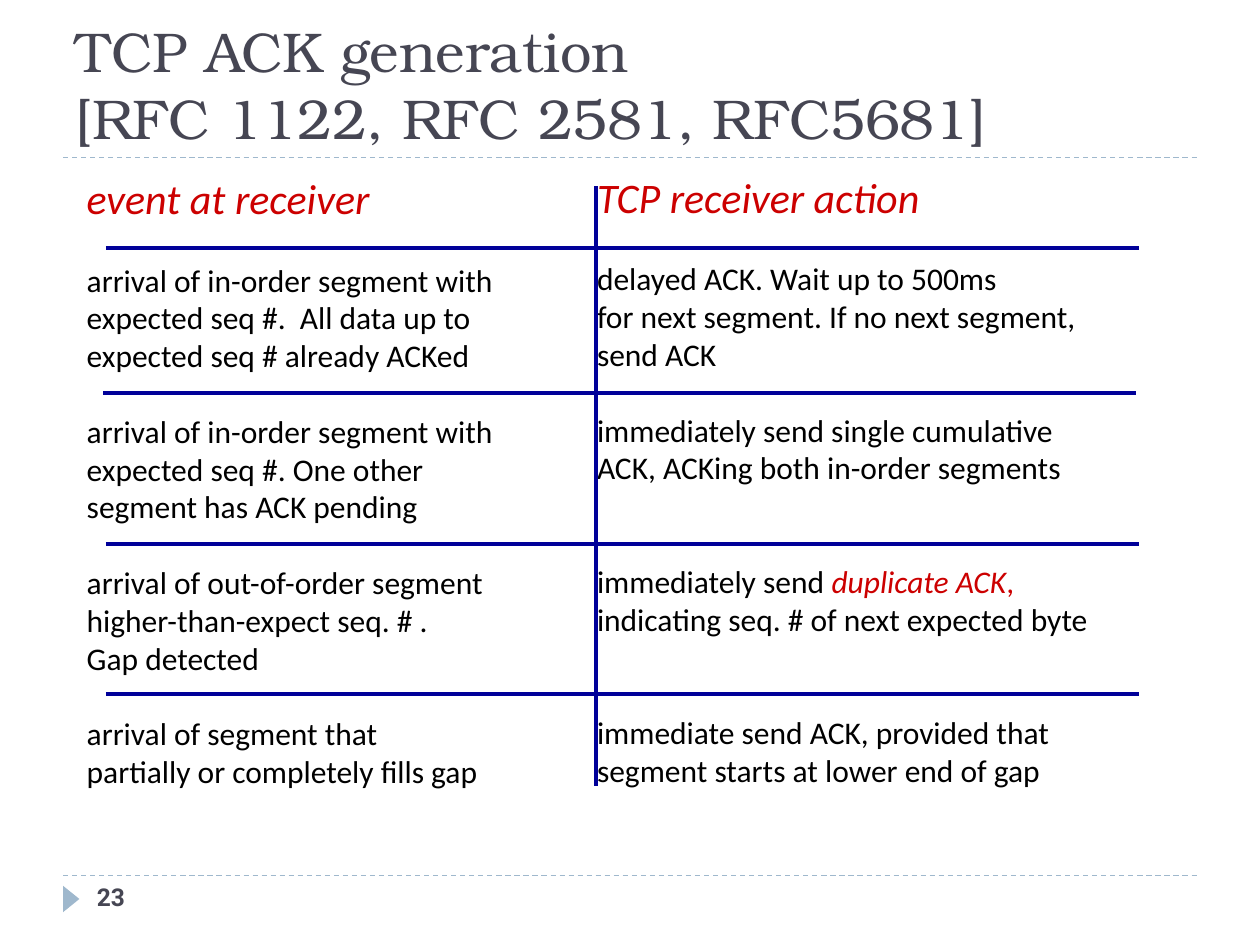
from lxml import etree
from pptx import Presentation
from pptx.dml.color import RGBColor
from pptx.enum import dml, shapes, text
from pptx.oxml.ns import qn
from pptx.util import Inches, Pt

# Content
TITLE = "TCP ACK generation \v[RFC 1122, RFC 2581, RFC5681]"
PAGE_NUMBER = "23"
RED, BLACK, NAVY, SLATE, PALE = "CC0000", "000000", "000099", "464653", "9FB8CD"

# Each column: left, top, width, heading, then one list of lines per row
COLUMNS = [
    (0.59, 1.32, 3.93, "event at receiver", [
        ["arrival of in-order segment with",
         "expected seq #.  All data up to",
         "expected seq # already ACKed"],
        ["arrival of in-order segment with",
         "expected seq #. One other",
         "segment has ACK pending"],
        ["arrival of out-of-order segment",
         "higher-than-expect seq. # .",
         "Gap detected"],
        ["arrival of segment that",
         "partially or completely fills gap"],
    ]),
    (4.64, 1.31, 4.73, "TCP receiver action", [
        ["delayed ACK. Wait up to 500ms",
         "for next segment. If no next segment,",
         "send ACK"],
        ["immediately send single cumulative",
         "ACK, ACKing both in-order segments"],
        [[("immediately send ", BLACK, False), ("duplicate ACK", RED, True), (",", RED, False)],
         "indicating seq. # of next expected byte"],
        ["immediate send ACK, provided that",
         "segment starts at lower end of gap"],
    ]),
]
ROW_RULES = [(0.84, 1.97), (0.82, 3.12), (0.84, 4.32), (0.84, 5.51)]
LINES_PER_ROW = 4
LINE_PITCH = 21.6


def colour(value):
    return RGBColor.from_string(value)


def style(font, name, size, value, italic=False, bold=False):
    font.name, font.size = name, Pt(size)
    font.italic, font.bold = italic, bold
    font.color.rgb = colour(value)


def add_rule(x1, y1, x2, y2, value, width, dashed=False):
    rule = page.shapes.add_connector(
        shapes.MSO_CONNECTOR.STRAIGHT, Inches(x1), Inches(y1), Inches(x2), Inches(y2))
    rule.line.color.rgb = colour(value)
    rule.line.width = Pt(width)
    if dashed:
        rule.line.dash_style = dml.MSO_LINE.DASH
    etree.SubElement(rule._element.spPr, qn("a:effectLst"))


def add_box(left, top, width, height):
    box = page.shapes.add_textbox(Inches(left), Inches(top), Inches(width), Inches(height))
    box.text_frame.word_wrap = True
    return box.text_frame


def add_column(left, top, width, heading, rows):
    frame = add_box(left, top, width, 5.6)
    frame.text = heading
    style(frame.paragraphs[0].runs[0].font, "Calibri", 24, RED, italic=True)
    gap_lines = 1
    for lines in rows:
        for index, line in enumerate(lines):
            para = frame.add_paragraph()
            if index == 0:
                para.space_before = Pt(LINE_PITCH * gap_lines)
            spans = [(line, BLACK, False)] if isinstance(line, str) else line
            for words, value, italic in spans:
                span = para.add_run()
                span.text = words
                style(span.font, "Calibri", 18, value, italic)
        gap_lines = LINES_PER_ROW - len(lines)


deck = Presentation()
deck.slide_width, deck.slide_height = Inches(10), Inches(7.5)
page = deck.slides.add_slide(deck.slide_layouts[5])

# Frame: dashed rules and page marker
for y in (6.95, 1.25):
    add_rule(0.5, y, 9.5, y, PALE, 0.75, dashed=True)
marker = page.shapes.add_shape(
    shapes.MSO_SHAPE.ISOSCELES_TRIANGLE, Inches(0.46), Inches(7.07), Inches(0.21), Inches(0.13))
marker.rotation = 90
marker.shadow.inherit = False
marker.fill.solid()
marker.fill.fore_color.rgb = colour(PALE)
marker.line.fill.background()

# Title
title = page.shapes.title
title.left, title.top, title.width, title.height = map(Inches, (0.5, 0.17, 9, 1.08))
title.text_frame.text = TITLE
title.text_frame.auto_size = text.MSO_AUTO_SIZE.NONE
title.text_frame.vertical_anchor = text.MSO_ANCHOR.BOTTOM
para = title.text_frame.paragraphs[0]
para.alignment = text.PP_ALIGN.LEFT
style(para.font, "TeX Gyre Bonum", 32, SLATE)
for span in para.runs:
    style(span.font, "TeX Gyre Bonum", 32, SLATE)

# Two columns of events and actions
for column in COLUMNS:
    add_column(*column)

# Grid lines
add_rule(4.73, 1.48, 4.73, 6.24, NAVY, 2.25)
for x, y in ROW_RULES:
    add_rule(x, y, x + 8.2, y, NAVY, 2.25)

# Page number
number = add_box(0.67, 6.95, 2.17, 0.4)
number.text = PAGE_NUMBER
style(number.paragraphs[0].runs[0].font, "Roboto", 14, SLATE, bold=True)

deck.save("out.pptx")
